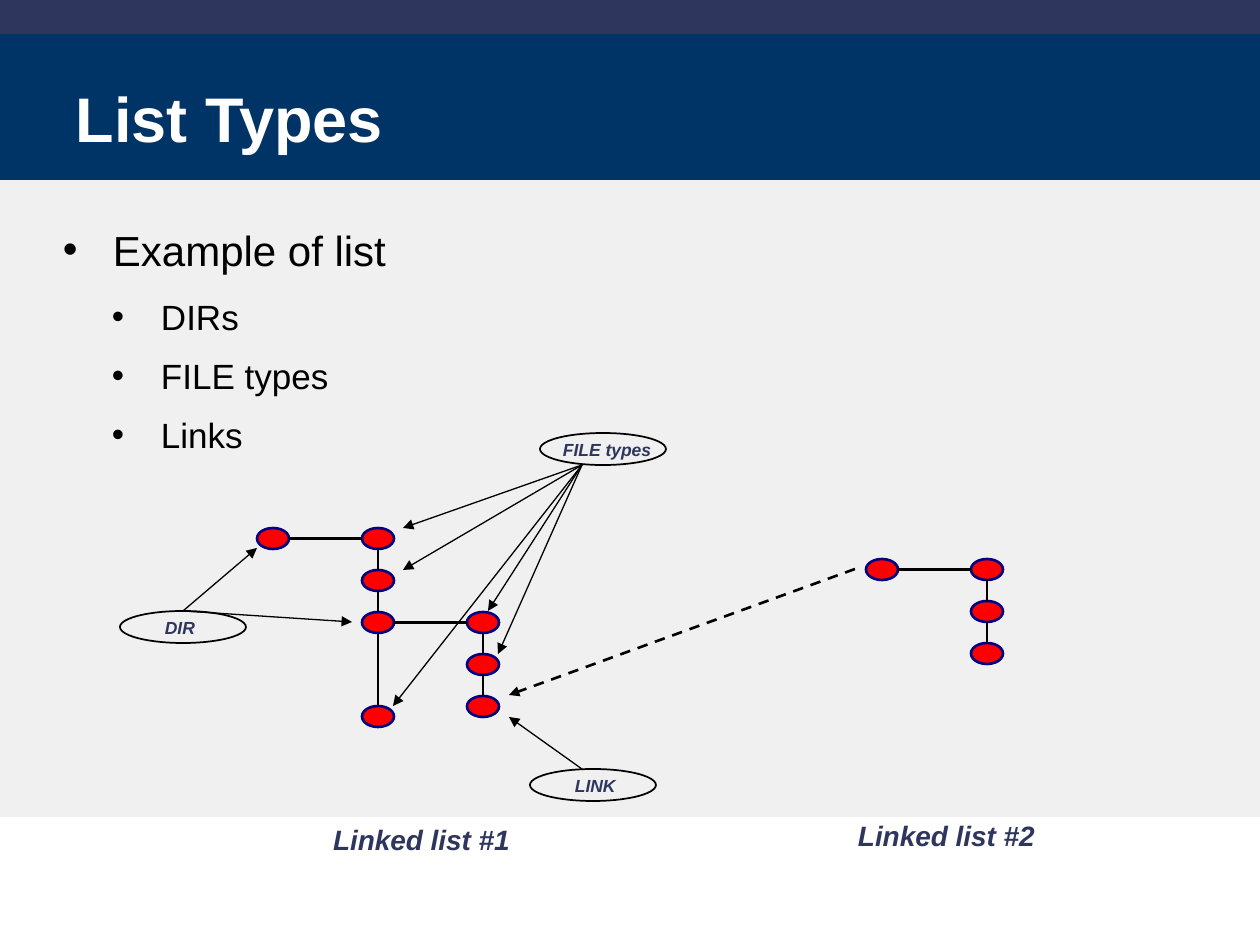
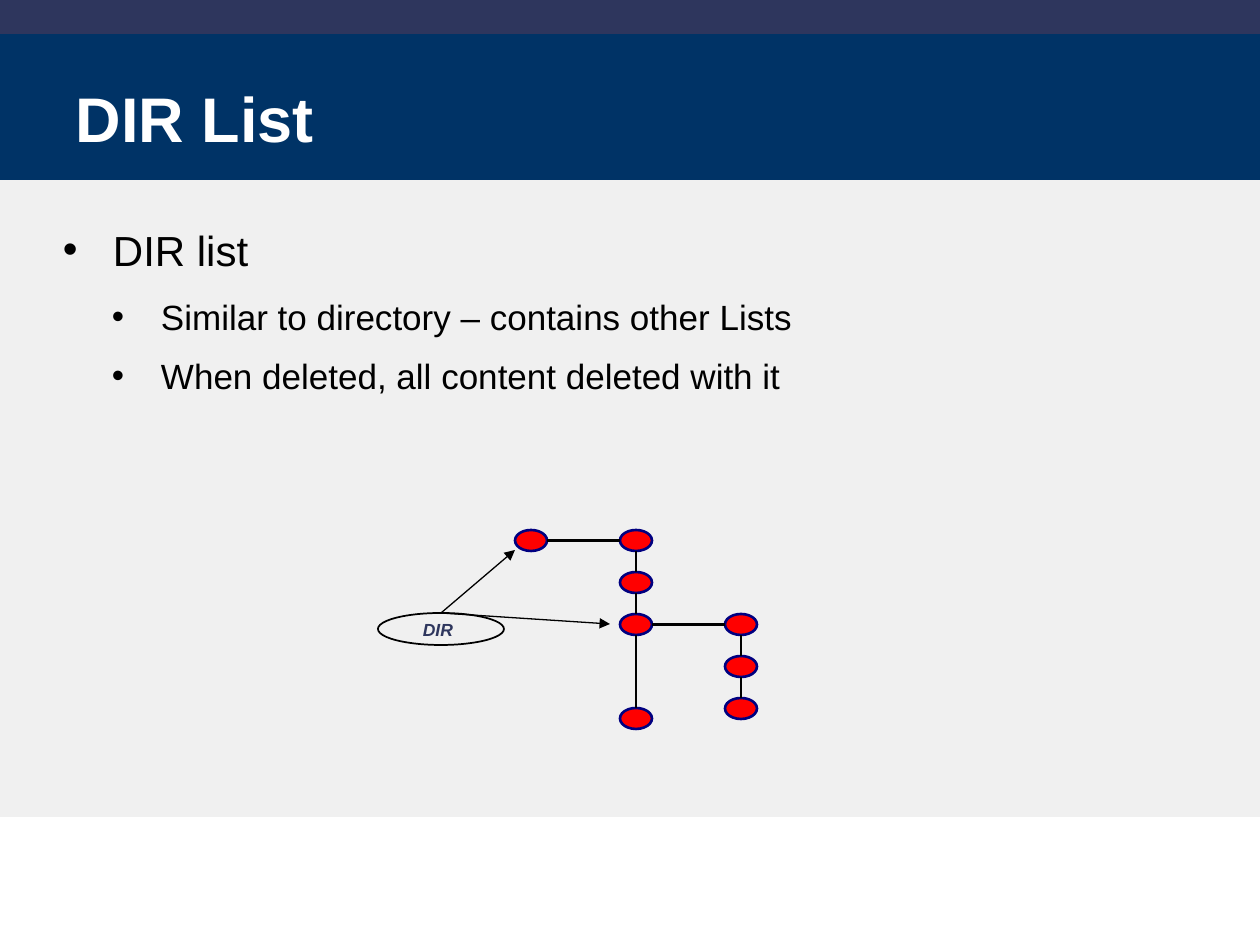
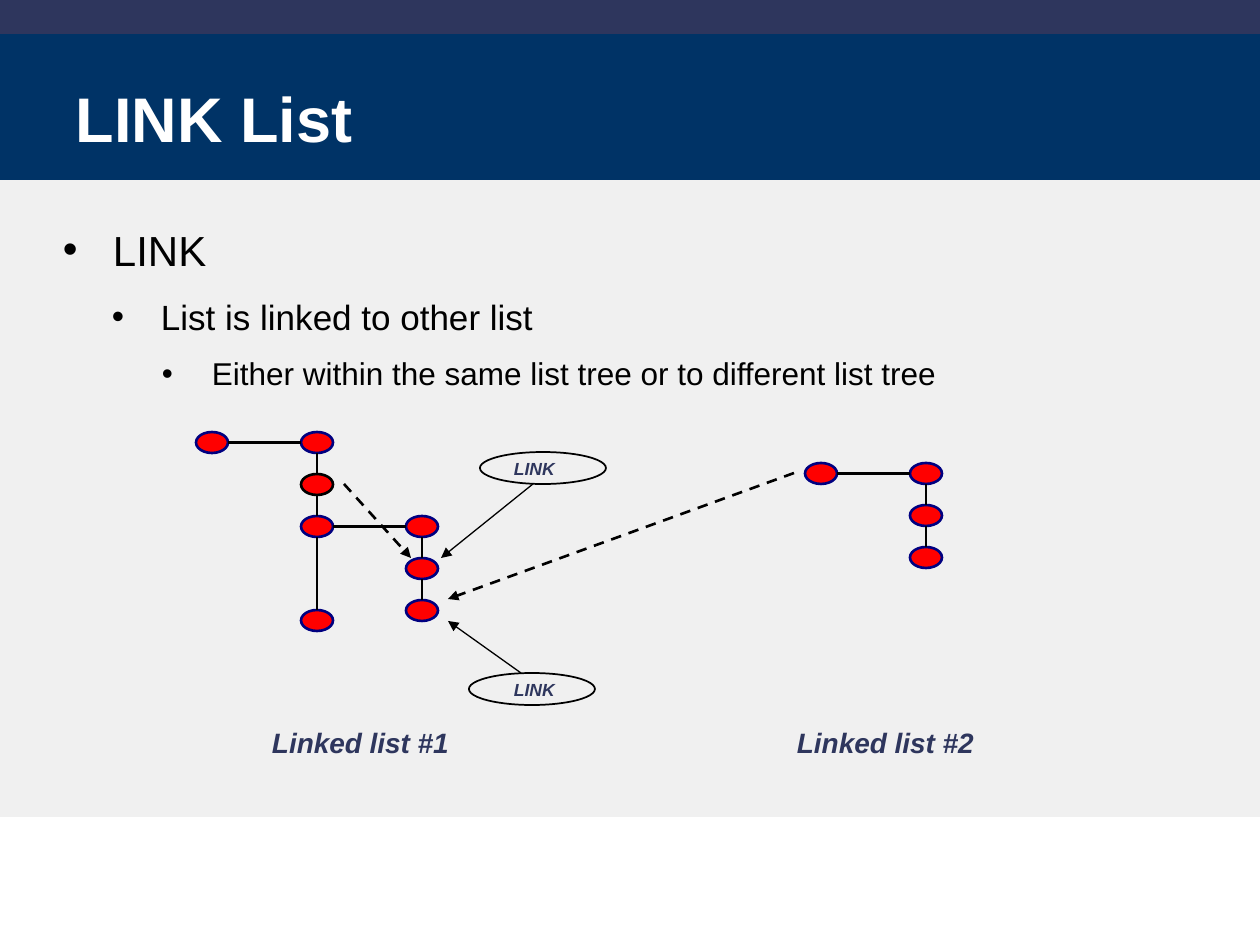
from dataclasses import dataclass

from lxml.etree import SubElement
from pptx import Presentation
from pptx.dml.color import RGBColor
from pptx.enum.dml import MSO_LINE
from pptx.enum.shapes import MSO_CONNECTOR as CONNECTOR, MSO_SHAPE as SHAPE
from pptx.enum.text import MSO_ANCHOR as ANCHOR
from pptx.oxml.ns import qn
from pptx.util import Pt

EMU_PER_PX = 914400 / 126


@dataclass(frozen=True)
class Theme:
    font: str = "Arial"
    strip: str = "2E365D"
    header: str = "003366"
    panel: str = "F0F0F0"
    title: str = "FFFFFF"
    ink: str = "000000"
    node: str = "FF0000"
    node_edge: str = "000080"
    title_size: int = 36
    body_sizes: tuple = (24, 20, 18)
    label_size: int = 16
    callout_size: int = 10
    heavy: float = 1.5
    medium: float = 1
    thin: float = 0.75


THEME = Theme()
PAGE_SIZE = (1260, 945)
TITLE_BOX = (76, 76, 1110, 79)
BODY_BOX = (63, 220, 1144, 535)
BODY_INDENTS = ((50, 50), (98, 49), (149, 50))
BODY_GAPS = (12, 9.6, 8)
NODE_SIZE = (32, 21)
COLUMN, ROW = 105, 42
CALLOUT_SIZE = (126, 32)
LABEL_SIZE = (231, 47)
TREE_NODES = ((0, 0), (COLUMN, 0), (COLUMN, ROW), (COLUMN, 2 * ROW), (COLUMN, 178),
              (2 * COLUMN, 2 * ROW), (2 * COLUMN, 3 * ROW), (2 * COLUMN, 4 * ROW))
TREE_EDGES = ((0, 1), (1, 2), (2, 3), (3, 4), (3, 5), (5, 6), (6, 7))
CHAIN_NODES = TREE_NODES[:4]
CHAIN_EDGES = TREE_EDGES[:3]
CHAIN_OFFSET = (609, 31)


def px(length):
    return round(length * EMU_PER_PX)


def color(value):
    return RGBColor.from_string(value)


def shift(origin, offset):
    return origin[0] + offset[0], origin[1] + offset[1]


def add_preset(page, kind, box, fill=None, edge=None, weight=0):
    shape = page.shapes.add_shape(kind, *map(px, box))
    shape.shadow.inherit = False
    if fill:
        shape.fill.solid()
        shape.fill.fore_color.rgb = color(fill)
    else:
        shape.fill.background()
    if edge:
        shape.line.color.rgb = color(edge)
        shape.line.width = Pt(weight)
    else:
        shape.line.fill.background()


def add_line(page, start, end, weight, arrow=False, dashed=False):
    line = page.shapes.add_connector(CONNECTOR.STRAIGHT, *map(px, start + end))
    line.line.color.rgb = color(THEME.ink)
    line.line.width = Pt(weight)
    if dashed:
        line.line.dash_style = MSO_LINE.DASH
    if arrow:
        SubElement(line.line._get_or_add_ln(), qn("a:tailEnd"), type="triangle")
    SubElement(line._element.spPr, qn("a:effectLst"))


def add_frame(page, box, margins, anchor=ANCHOR.TOP):
    frame = page.shapes.add_textbox(*map(px, box)).text_frame
    settings = {"word_wrap": True, "vertical_anchor": anchor}
    for side, margin in zip(("left", "top", "right", "bottom"), margins):
        settings[f"margin_{side}"] = px(margin)
    for name, value in settings.items():
        setattr(frame, name, value)
    return frame


def write(para, text, size, ink, bold=False, italic=False):
    span = para.add_run()
    span.text = text
    span.font.color.rgb = color(ink)
    for name, value in {"name": THEME.font, "size": Pt(size), "bold": bold, "italic": italic}.items():
        setattr(span.font, name, value)


def add_bands(page):
    for top, height, fill in ((34, 147, THEME.header), (180, 637, THEME.panel), (0, 34, THEME.strip)):
        add_preset(page, SHAPE.RECTANGLE, (0, top, PAGE_SIZE[0], height), fill)


def add_title(page, box, text):
    frame = add_frame(page, box, (0, 0, 0, 0), ANCHOR.BOTTOM)
    write(frame.paragraphs[0], text, THEME.title_size, THEME.title, bold=True)


def add_bullets(page, box, items):
    frame = add_frame(page, box, (0, 4, 0, 0))
    for index, (level, text) in enumerate(items):
        para = frame.add_paragraph() if index else frame.paragraphs[0]
        para.level = level
        para.space_after = Pt(BODY_GAPS[level])
        indent, hanging = BODY_INDENTS[level]
        props = para._p.get_or_add_pPr()
        props.set("marL", str(px(indent)))
        props.set("indent", str(-px(hanging)))
        SubElement(SubElement(props, qn("a:buClr")), qn("a:srgbClr"), val=THEME.ink)
        SubElement(props, qn("a:buFont"), typeface=THEME.font)
        SubElement(props, qn("a:buChar"), char="•")
        write(para, text, THEME.body_sizes[level], THEME.ink)


def add_list_tree(page, origin, nodes, edges, marked=None):
    width, height = NODE_SIZE
    corners = [shift(origin, node) for node in nodes]
    for index, corner in enumerate(corners):
        edge = THEME.ink if index == marked else THEME.node_edge
        add_preset(page, SHAPE.OVAL, corner + NODE_SIZE, THEME.node, edge, THEME.heavy)
    for first, last in edges:
        start, end = corners[first], corners[last]
        across = start[1] == end[1]
        exit_point, entry_point = (((width, height / 2), (0, height / 2)) if across
                                   else ((width / 2, height), (width / 2, 0)))
        add_line(page, shift(start, exit_point), shift(end, entry_point), THEME.heavy)


def add_callout(page, origin, text, corner, text_left, text_width, tail, tips):
    left, top = shift(origin, corner)
    frame = add_frame(page, (left + text_left, top, text_width, 34), (13, 6, 13, 6))
    write(frame.paragraphs[0], text, THEME.callout_size, THEME.strip, bold=True, italic=True)
    for tip in tips:
        add_line(page, shift(origin, tail), shift(origin, tip), THEME.thin, arrow=True)
    add_preset(page, SHAPE.OVAL, (left, top) + CALLOUT_SIZE, None, THEME.ink, THEME.medium)


def add_dir_callout(page, origin):
    add_callout(page, origin, "DIR", (-137, 83), 32, 63, (-74, 83), ((0, 20), (95, 94)))


def add_linked_pair(page, origin, second_label_top, marked=None):
    add_list_tree(page, origin, TREE_NODES, TREE_EDGES, marked)
    add_list_tree(page, shift(origin, CHAIN_OFFSET), CHAIN_NODES, CHAIN_EDGES)
    add_line(page, shift(origin, (598, 41)), shift(origin, (252, 167)), THEME.heavy, True, True)
    for text, corner in (("Linked list #1", (63, 288)), ("Linked list #2", (588, second_label_top))):
        frame = add_frame(page, shift(origin, corner) + LABEL_SIZE, (13, 6, 13, 6))
        write(frame.paragraphs[0], text, THEME.label_size, THEME.strip, bold=True, italic=True)
    add_callout(page, origin, "LINK", (273, 241), 32, 116, (325, 241), ((252, 189),))


def add_list_types(page, origin):
    add_linked_pair(page, origin, 285)
    add_dir_callout(page, origin)
    tips = ((146, 0), (146, 42), (231, 83), (241, 126), (136, 178))
    add_callout(page, origin, "FILE types", (283, -95), 10, 116, (325, -63), tips)


def add_dir_list(page, origin):
    add_list_tree(page, origin, TREE_NODES, TREE_EDGES)
    add_dir_callout(page, origin)


def add_link_list(page, origin):
    add_linked_pair(page, origin, 288, marked=2)
    add_line(page, shift(origin, (148, 52)), shift(origin, (215, 126)), THEME.heavy, True, True)
    add_callout(page, origin, "LINK", (284, 20), 21, 116, (337, 52), ((245, 126),))


PAGES = (
    ("List Types",
     ((0, "Example of list"), (1, "DIRs"), (1, "FILE types"), (1, "Links")),
     add_list_types, (257, 528)),
    ("DIR List",
     ((0, "DIR list"), (1, "Similar to directory – contains other Lists"),
      (1, "When deleted, all content deleted with it")),
     add_dir_list, (515, 530)),
    ("LINK List",
     ((0, "LINK"), (1, "List is linked to other list"),
      (2, "Either within the same list tree or to different list tree")),
     add_link_list, (196, 432)),
)


def main():
    deck = Presentation()
    deck.slide_width, deck.slide_height = map(px, PAGE_SIZE)
    for title, bullets, add_diagram, origin in PAGES:
        page = deck.slides.add_slide(deck.slide_layouts[6])
        add_bands(page)
        add_title(page, TITLE_BOX, title)
        add_bullets(page, BODY_BOX, bullets)
        add_diagram(page, origin)
    deck.save("out.pptx")


if __name__ == "__main__":
    main()
